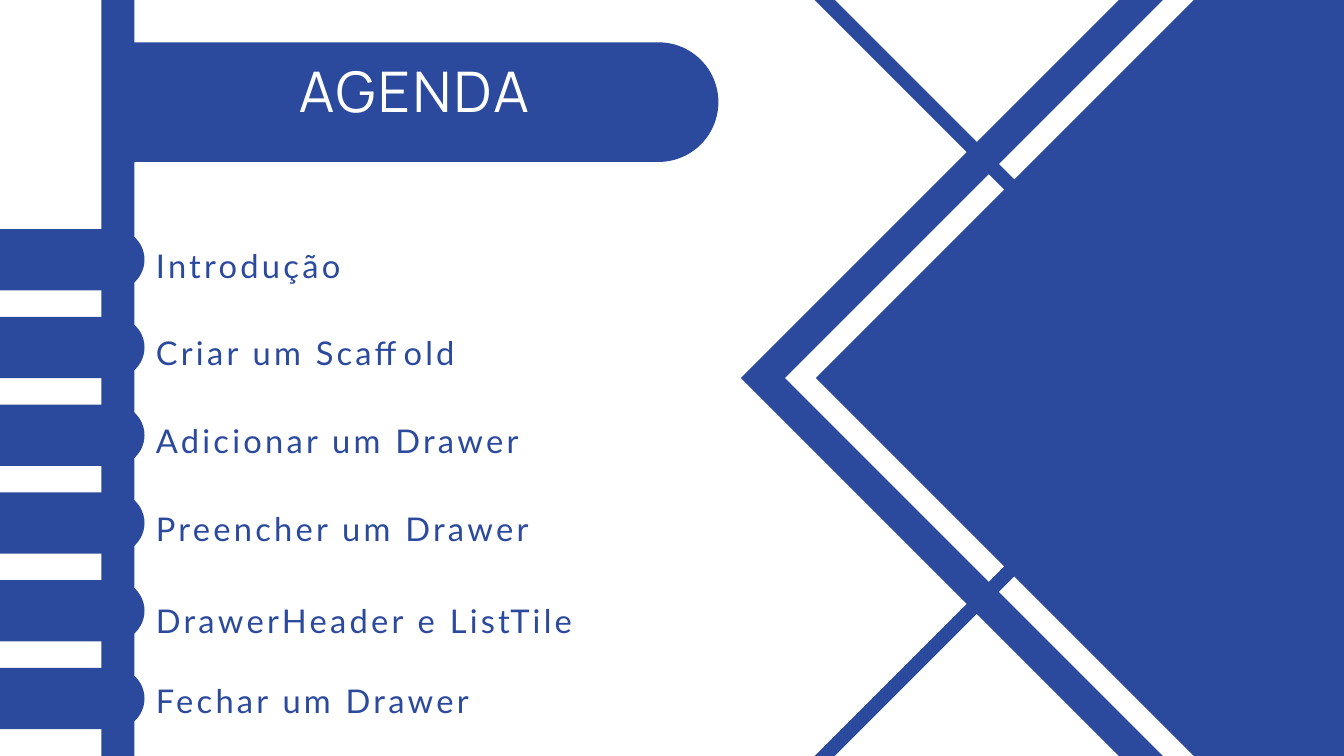
from pptx import Presentation, util as u
from pptx.dml.color import RGBColor
from pptx.enum import shapes, text

BLUE, WHITE = "2B4A9D", "FFFFFF"
Preset = shapes.MSO_SHAPE

deck = Presentation()
deck.slide_width, deck.slide_height = u.Inches(20), u.Inches(11.25)
page = deck.slides.add_slide(deck.slide_layouts[5])


def add_figure(preset, left, top, width, height, color, rotation=0, adjustments=()):
    figure = page.shapes.add_shape(preset, *map(u.Inches, (left, top, width, height)))
    figure.rotation = rotation
    figure.shadow.inherit = False
    figure.fill.solid()
    figure.fill.fore_color.rgb = RGBColor.from_string(color)
    figure.line.fill.background()
    for index, value in enumerate(adjustments):
        figure.adjustments[index] = value


def write(box, words, font, size, color, line_spacing, tracking, align):
    frame = box.text_frame
    frame.text = words
    frame.word_wrap = True
    frame.auto_size = text.MSO_AUTO_SIZE.NONE
    frame.vertical_anchor = text.MSO_ANCHOR.TOP
    frame.margin_left = frame.margin_right = frame.margin_top = frame.margin_bottom = 0
    para = frame.paragraphs[0]
    para.alignment = align
    para.line_spacing = u.Pt(line_spacing)
    span = para.runs[0]
    span.font.name = font
    span.font.size = u.Pt(size)
    span.font.color.rgb = RGBColor.from_string(color)
    span._r.get_or_add_rPr().set("spc", str(int(tracking * 100)))


add_figure(Preset.RECTANGLE, 1.51, 0, 0.49, 11.25, BLUE)

add_figure(Preset.RECTANGLE, 13.33, 0.06, 11.13, 11.13, BLUE, 45)
for left, top, side, color in (
    (13.81, 0.49, 10.27, WHITE),
    (12.6, 8.8, 6.74, BLUE),
    (12.6, -4.29, 6.74, BLUE),
):
    add_figure(Preset.FRAME, left, top, side, side, color, 45, [0.0313])

add_figure(Preset.ROUND_2_SAME_RECTANGLE, 5.45, -2.83, 1.78, 8.7, BLUE, 90, [0.5, 0])
title = page.shapes.title
title.left, title.top = u.Inches(2.32), u.Inches(0.96)
title.width, title.height = u.Inches(7.68), u.Inches(0.98)
write(title, "AGENDA", "Manrope", 60, WHITE, 63, 3, text.PP_ALIGN.CENTER)
title.element.getparent().append(title.element)

topics = (
    ("Introdução", 3.56),
    ("Criar um Scaffold", 4.86),
    ("Adicionar um Drawer", 6.16),
    ("Preencher um Drawer", 7.47),
    ("DrawerHeader e ListTile", 8.84),
    ("Fechar um Drawer", 10.04),
)
tab_step = (9.32 - 2.79) / (len(topics) - 1)
for index, (topic, top) in enumerate(topics):
    add_figure(Preset.ROUND_2_SAME_RECTANGLE, 0.62, 2.79 + index * tab_step,
               0.91, 2.15, BLUE, 90, [0.5, 0])
    box = page.shapes.add_textbox(*map(u.Inches, (2.32, top, 8.03, 0.62)))
    write(box, topic, "Lato", 35, BLUE, 49, 3.5, text.PP_ALIGN.LEFT)

deck.save("out.pptx")
